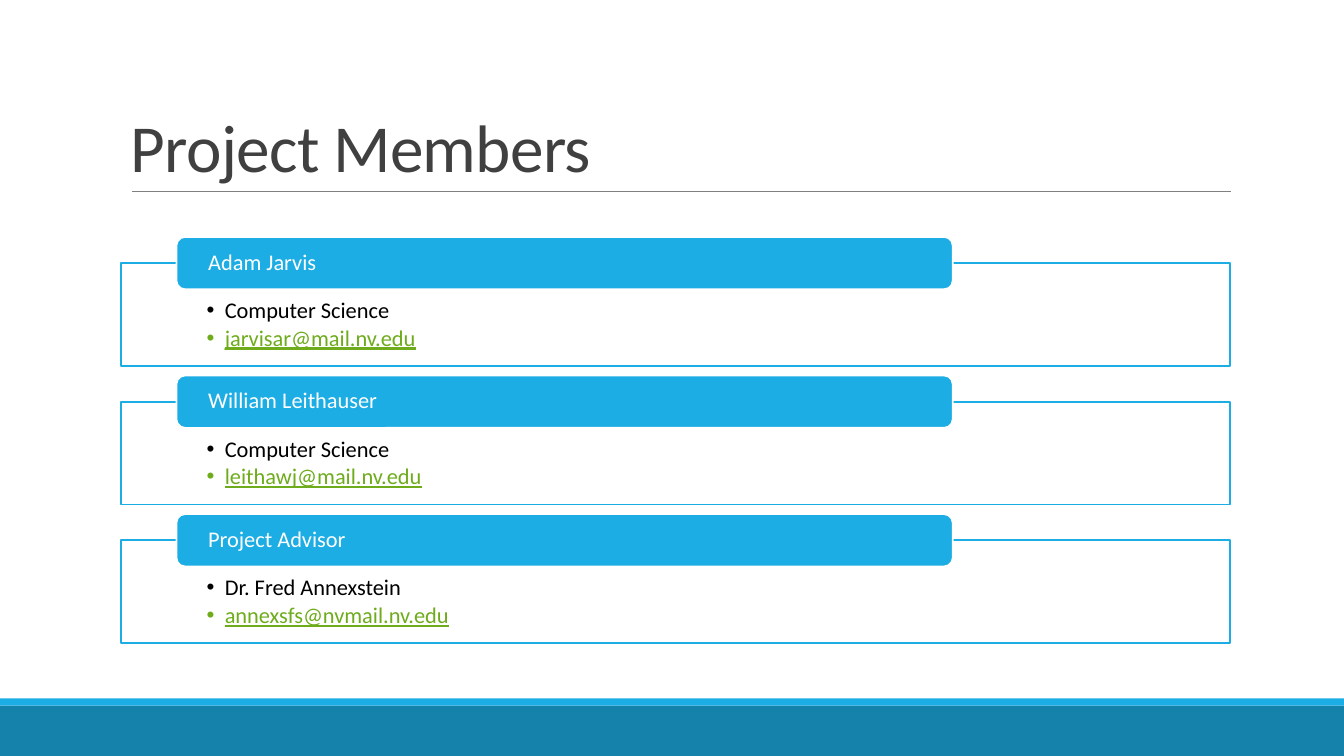
from dataclasses import dataclass

import pptx
import pptx.dml.color
import pptx.enum.shapes
import pptx.enum.text
import pptx.util
from lxml import etree
from pptx.oxml.ns import qn
from pptx.util import Inches

SHAPE = pptx.enum.shapes.MSO_SHAPE
ANCHOR = pptx.enum.text.MSO_ANCHOR
ALIGN = pptx.enum.text.PP_ALIGN


@dataclass(frozen=True)
class Theme:
    font: str = "Calibri"
    title_size: int = 48
    body_size: int = 16
    accent: str = "1CADE4"
    footer: str = "1482AB"
    white: str = "FFFFFF"
    title: str = "404040"
    body: str = "000000"
    email: str = "6EAC1C"
    rule: str = "808080"


THEME = Theme()

MEMBERS = [
    ("Adam Jarvis", "Computer Science", "jarvisar@mail.nv.edu"),
    ("William Leithauser", "Computer Science", "leithawj@mail.nv.edu"),
    ("Project Advisor", "Dr. Fred Annexstein", "annexsfs@nvmail.nv.edu"),
]
FIRST_TOP = 2.61
ROW_PITCH = 1.375
HEADER_RISE = 0.26


def rgb(color):
    return pptx.dml.color.RGBColor.from_string(color)


def add_block(page, kind, left, top, width, height, fill, line=None):
    block = page.shapes.add_shape(
        kind, Inches(left), Inches(top), Inches(width), Inches(height))
    block.shadow.inherit = False
    block.fill.solid()
    block.fill.fore_color.rgb = rgb(fill)
    if line:
        block.line.color.rgb = rgb(line)
        block.line.width = pptx.util.Pt(1.25)
    else:
        block.line.fill.background()
    return block


def set_frame(box, anchor, left, top, right, bottom):
    frame = box.text_frame
    frame.word_wrap = True
    frame.vertical_anchor = anchor
    frame.margin_left, frame.margin_top = Inches(left), Inches(top)
    frame.margin_right, frame.margin_bottom = Inches(right), Inches(bottom)
    return frame


def style_paragraph(para, text, size, color, line_spacing=0.9):
    para.text = text
    para.alignment = ALIGN.LEFT
    para.line_spacing = line_spacing
    para.font.name = THEME.font
    para.font.size = pptx.util.Pt(size)
    para.font.color.rgb = rgb(color)


def add_bullet(para, color):
    """Hang a coloured bullet; call before the paragraph font is set."""
    properties = para._p.get_or_add_pPr()
    properties.set("marL", str(Inches(0.18)))
    properties.set("indent", str(-Inches(0.18)))
    bullet_color = etree.SubElement(properties, qn("a:buClr"))
    etree.SubElement(bullet_color, qn("a:srgbClr"), val=color)
    etree.SubElement(properties, qn("a:buFont"), typeface="Arial")
    etree.SubElement(properties, qn("a:buChar"), char="•")


def add_title(page, text):
    box = page.shapes.add_textbox(
        Inches(1.2), Inches(0.31), Inches(11), Inches(1.59))
    frame = set_frame(box, ANCHOR.BOTTOM, 0.1, 0.05, 0.1, 0.05)
    para = frame.paragraphs[0]
    style_paragraph(para, text, THEME.title_size, THEME.title, 0.85)
    para.runs[0].font._element.set("spc", "-50")


def add_rule(page):
    rule = page.shapes.add_connector(
        pptx.enum.shapes.MSO_CONNECTOR.STRAIGHT,
        Inches(1.31), Inches(1.9), Inches(12.21), Inches(1.9))
    rule.line.color.rgb = rgb(THEME.rule)
    rule.line.width = pptx.util.Pt(0.5)
    etree.SubElement(rule._element.spPr, qn("a:effectLst"))


def add_member(page, top, name, role, email):
    card = add_block(page, SHAPE.RECTANGLE, 1.2, top, 11, 1.02,
                     THEME.white, THEME.accent)
    frame = set_frame(card, ANCHOR.TOP, 0.85, 0.36, 0.85, 0.12)
    role_para, email_para = frame.paragraphs[0], frame.add_paragraph()
    for para, text, color in ((role_para, role, THEME.body),
                              (email_para, email, THEME.email)):
        add_bullet(para, color)
        style_paragraph(para, text, THEME.body_size, color)
        para.space_after = pptx.util.Pt(2.4)
    email_para.font.underline = True

    header = add_block(page, SHAPE.ROUNDED_RECTANGLE, 1.75, top - HEADER_RISE,
                       7.7, 0.52, THEME.accent, THEME.white)
    frame = set_frame(header, ANCHOR.MIDDLE, 0.29, 0, 0.29, 0)
    style_paragraph(frame.paragraphs[0], name, THEME.body_size, THEME.white)


def main():
    deck = pptx.Presentation()
    deck.slide_width, deck.slide_height = Inches(13.33), Inches(7.5)
    page = deck.slides.add_slide(deck.slide_layouts[6])

    add_block(page, SHAPE.RECTANGLE, 0, 7, 13.33, 0.5, THEME.footer)
    add_block(page, SHAPE.RECTANGLE, 0, 6.93, 13.33, 0.07, THEME.accent)
    add_rule(page)
    add_title(page, "Project Members")
    for row, member in enumerate(MEMBERS):
        add_member(page, FIRST_TOP + row * ROW_PITCH, *member)

    deck.save("out.pptx")


if __name__ == "__main__":
    main()
